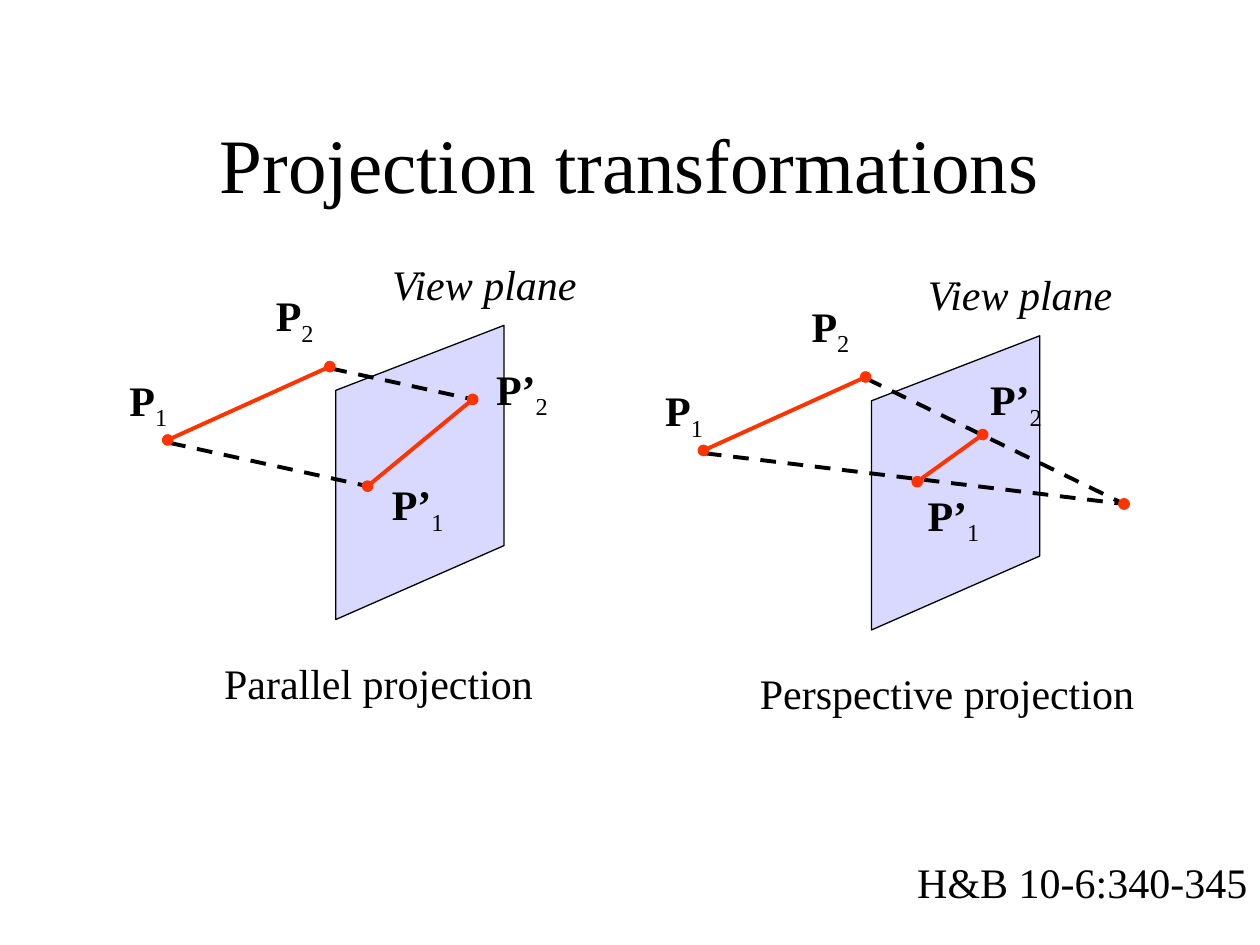
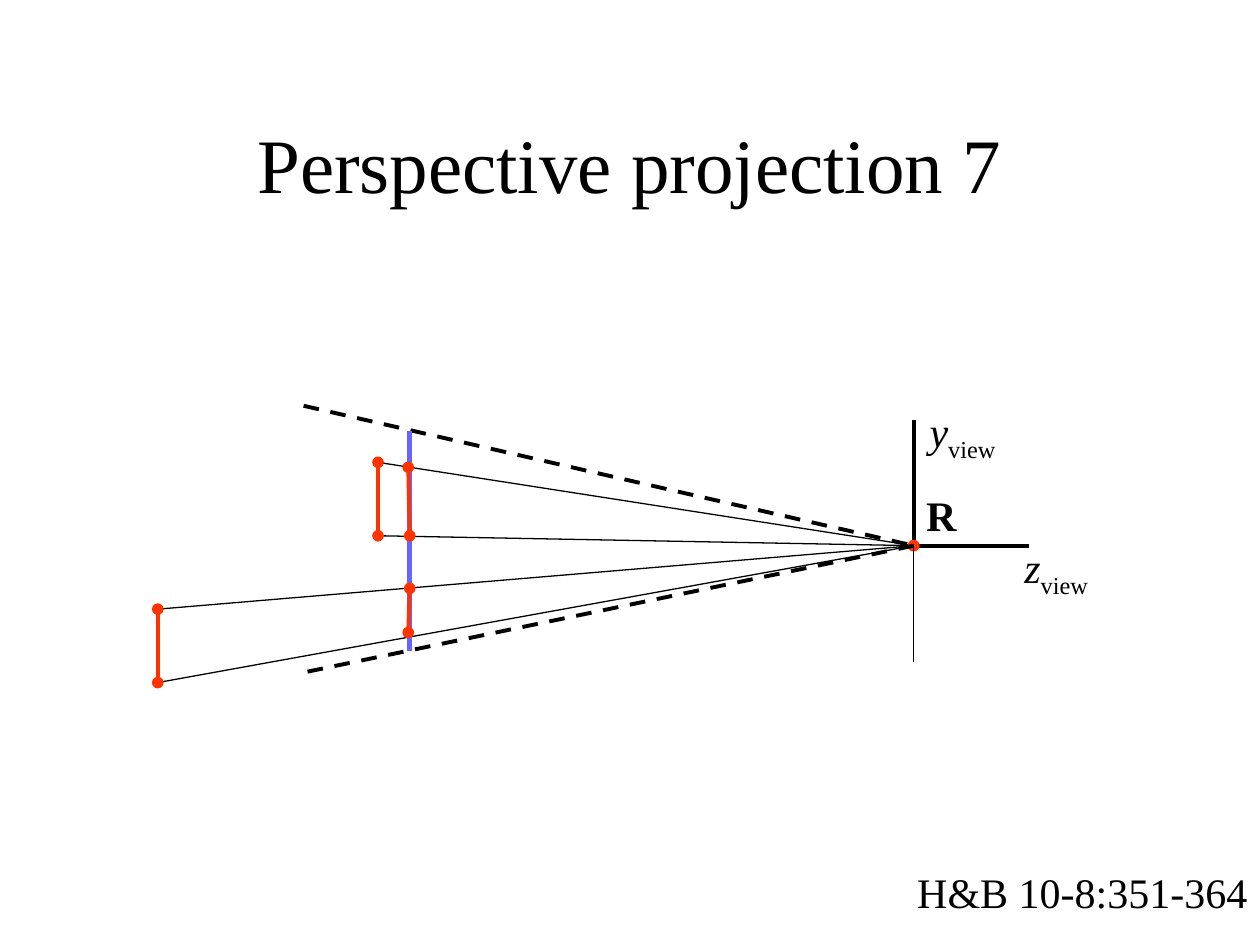
from lxml.etree import SubElement
from pptx import Presentation
from pptx.dml.color import RGBColor
from pptx.enum.dml import MSO_LINE
from pptx.enum.shapes import MSO_CONNECTOR, MSO_SHAPE
from pptx.enum.text import MSO_ANCHOR, MSO_AUTO_SIZE, PP_ALIGN
from pptx.oxml.ns import qn
from pptx.util import Cm, Pt

BLACK = RGBColor(0x00, 0x00, 0x00)
RED = RGBColor(0xFF, 0x33, 0x00)
PALE_BLUE = RGBColor(0xD9, 0xD9, 0xFF)
BLUE = RGBColor(0x66, 0x66, 0xFF)
FONT = "Times New Roman"
THIN, THICK, PLANE_WIDTH = 0.75, 2.25, 3
DOT_SIZE = 0.24


def add_text(page, text, left, top, width, height=1.27, *, subscript="", size=24,
             bold=False, italic=False, align=PP_ALIGN.LEFT, wrap=False,
             anchor=MSO_ANCHOR.TOP):
    """Add one line of text; the subscript is always upright and regular."""
    box = page.shapes.add_textbox(Cm(left), Cm(top), Cm(width), Cm(height))
    frame = box.text_frame
    frame.word_wrap = wrap
    frame.auto_size = MSO_AUTO_SIZE.NONE if wrap else MSO_AUTO_SIZE.SHAPE_TO_FIT_TEXT
    frame.vertical_anchor = anchor
    para = frame.paragraphs[0]
    para.alignment = align
    for content, lowered in ((text, False), (subscript, True)):
        if not content:
            continue
        span = para.add_run()
        span.text = content
        span.font.name = FONT
        span.font.size = Pt(size)
        span.font.color.rgb = BLACK
        span.font.bold = bold and not lowered
        span.font.italic = italic and not lowered
        if lowered:
            span._r.get_or_add_rPr().set("baseline", "-25000")


def add_label(page, text, subscript, left, top, width, **style):
    add_text(page, text, left, top, width, 1.42, subscript=subscript, **style)


def add_line(page, start, end, *, color=BLACK, width=THIN, dashed=False, dots=False):
    line = page.shapes.add_connector(
        MSO_CONNECTOR.STRAIGHT, *(Cm(value) for value in (*start, *end)))
    line.line.color.rgb = color
    line.line.width = Pt(width)
    if dashed:
        line.line.dash_style = MSO_LINE.DASH
    if dots:
        outline = line.line._get_or_add_ln()
        for tag in ("a:headEnd", "a:tailEnd"):
            SubElement(outline, qn(tag), type="oval")
    SubElement(line._element.spPr, qn("a:effectLst"))


def add_segment(page, start, end):
    """Draw a red object edge with a dot at each end."""
    add_line(page, start, end, color=RED, width=THICK, dots=True)


def add_dot(page, center):
    left, top = (Cm(value - DOT_SIZE / 2) for value in center)
    dot = page.shapes.add_shape(MSO_SHAPE.OVAL, left, top, Cm(DOT_SIZE), Cm(DOT_SIZE))
    dot.shadow.inherit = False
    dot.fill.solid()
    dot.fill.fore_color.rgb = RED
    dot.line.fill.background()


def add_view_plane(page, corners):
    first, *others = [(Cm(x), Cm(y)) for x, y in corners]
    builder = page.shapes.build_freeform(*first, scale=1.0)
    builder.add_line_segments(others, close=True)
    plane = builder.convert_to_shape()
    plane.shadow.inherit = False
    plane.fill.solid()
    plane.fill.fore_color.rgb = PALE_BLUE
    plane.line.color.rgb = BLACK
    plane.line.width = Pt(THIN)


def add_page(deck, title, reference, reference_top):
    page = deck.slides.add_slide(deck.slide_layouts[6])
    add_text(page, title, 1.9, 1.7, 21.59, 3.18, size=44, align=PP_ALIGN.CENTER,
             wrap=True, anchor=MSO_ANCHOR.MIDDLE)
    add_text(page, reference, 18.24, reference_top, 7.16)
    return page


def add_projection(page, caption, caption_width, image, ray_ends, image_label,
                   right=0, down=0):
    """Draw segment P1-P2, the view plane and the projected image, moved as a whole."""
    def at(x, y):
        return x + right, y + down

    add_label(page, "P", "1", *at(2.36, 7.42), 1.27, bold=True)
    add_label(page, "P", "2", *at(5.31, 5.72), 1.27, bold=True)
    corners = ((6.77, 12.49), (10.16, 11), (10.16, 6.56), (6.77, 7.87))
    add_view_plane(page, [at(*corner) for corner in corners])
    for start, end in zip(((6.68, 7.43), (3.43, 8.93)), ray_ends):
        add_line(page, at(*start), at(*end), width=THICK, dashed=True)
    add_label(page, "P’", "1", *at(7.65, 9.53), 1.55, bold=True)
    add_label(page, "P’", "2", *at(*image_label), 1.55, bold=True)
    add_segment(page, at(6.65, 7.39), at(3.38, 8.87))
    add_segment(page, *(at(*point) for point in image))
    add_text(page, "View plane", *at(7.62, 5.08), 4.29, italic=True,
             align=PP_ALIGN.CENTER)
    add_text(page, caption, *at(4.27, 13.12), caption_width)


def build_transformations(deck):
    page = add_page(deck, "Projection transformations", "H&B 10-6:340-345", 17.15)
    parallel_image = ((9.53, 8.05), (7.41, 9.8))
    add_projection(page, "Parallel projection", 6.73, parallel_image,
                   parallel_image, (9.75, 7.2))
    right, down = 10.8, 0.21
    eye = (11.86, 9.95)
    add_projection(page, "Perspective projection", 8.05, ((9.01, 8.55), (7.69, 9.5)),
                   (eye, eye), (8.91, 7.2), right, down)
    add_dot(page, (eye[0] + right, eye[1] + down))


def build_perspective(deck):
    page = add_page(deck, "Perspective projection 7", "H&B 10-8:351-364", 17.35)
    eye = eye_x, eye_y = 18.42, 11
    plane_x = 8.26
    axis_label_width = 1.9
    near_edge = ((7.62, 9.32), (7.62, 10.8))
    far_edge = ((3.18, 12.28), (3.18, 13.76))

    for point in near_edge + far_edge:
        add_line(page, point, eye)
    add_line(page, (6.12, 8.18), eye, width=THICK, dashed=True)
    add_line(page, (plane_x, 8.69), (plane_x, 13.13), color=BLUE, width=PLANE_WIDTH)

    add_label(page, "z", "view", 20.4, 10.8, axis_label_width, italic=True)
    add_label(page, "y", "view", 18.49, 8.05, axis_label_width, italic=True)
    add_text(page, "R", eye_x, 9.74, 1.12, bold=True)
    add_line(page, eye, (20.75, eye_y), width=THICK)
    add_line(page, eye, (eye_x, 8.46), width=THICK)
    add_dot(page, eye)
    add_line(page, eye, (eye_x, 13.34))
    add_line(page, (6.2, 13.54), eye, width=THICK, dashed=True)

    near_image = ((8.23, 9.42), (plane_x, 10.8))
    far_image = ((plane_x, 11.86), (8.23, 12.75))
    for edge in (near_image, far_edge, far_image, near_edge):
        add_segment(page, *edge)


def main():
    deck = Presentation()
    deck.slide_width, deck.slide_height = Cm(25.4), Cm(19.05)
    build_transformations(deck)
    build_perspective(deck)
    deck.save("out.pptx")


if __name__ == "__main__":
    main()
